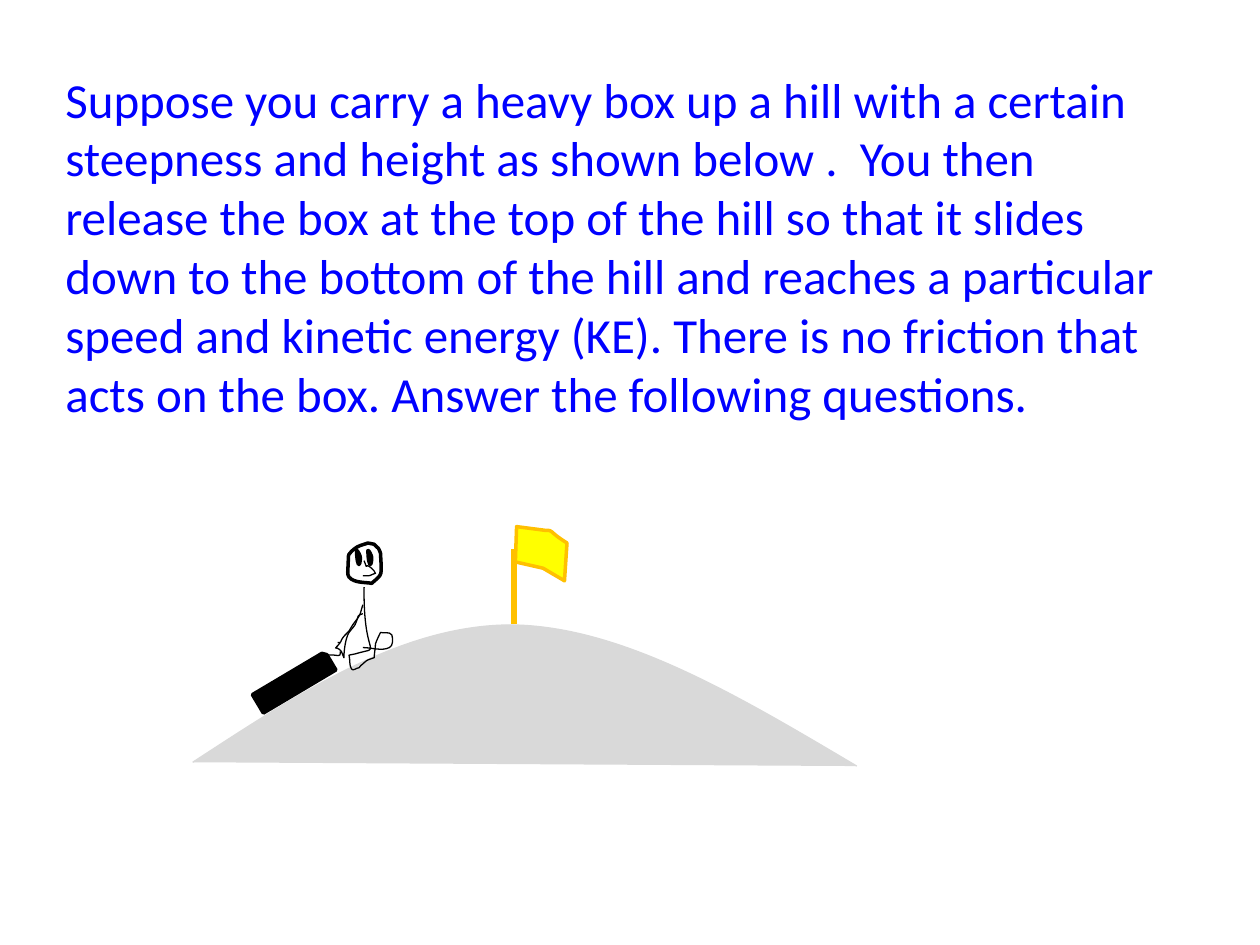
import dataclasses
import typing

import lxml.etree
import pptx
import pptx.dml.color
import pptx.enum.shapes
import pptx.enum.text
import pptx.oxml.ns
import pptx.util

RGBColor = pptx.dml.color.RGBColor
qn = pptx.oxml.ns.qn
BLUE = RGBColor(0x00, 0x00, 0xFF)
GREY = RGBColor(0xD9, 0xD9, 0xD9)
BLACK = RGBColor(0x00, 0x00, 0x00)
WHITE = RGBColor(0xFF, 0xFF, 0xFF)
YELLOW = RGBColor(0xFF, 0xFF, 0x00)
GOLD = RGBColor(0xFF, 0xC0, 0x00)
STEEL = RGBColor(0x4F, 0x81, 0xBD)

COLUMNS, ROWS = 1000, 750
CELL = pptx.util.Inches(10) // COLUMNS
THIN, BOLD, POLE = 0.75, 2, 3

QUESTION = (
    "Suppose you carry a heavy box up a hill with a certain steepness and height "
    "as shown below .  You then release the box at the top of the hill so that it "
    "slides down to the bottom of the hill and reaches a particular speed and "
    "kinetic energy (KE). There is no friction that acts on the box. Answer the "
    "following questions."
)
QUESTION_FONT = {"name": "Calibri", "size": pptx.util.Pt(28)}

Point = tuple[float, float]
Segment = tuple[float, ...]


@dataclasses.dataclass(frozen=True)
class Outline:
    start: Point
    segments: list[Segment]
    line: RGBColor = BLACK
    width: float = THIN
    fill: typing.Optional[RGBColor] = None
    closed: bool = False


def eye(left: float) -> Outline:
    return Outline(
        (left, 437),
        [
            (left, 438, left, 445, left + 1.5, 448),
            (left + 2.5, 449, left + 3, 445, left + 3, 443),
            (left + 3.5, 442, left + 0.5, 436, left, 437),
        ],
        width=BOLD, fill=STEEL, closed=True,
    )


HILL = Outline(
    (153, 605),
    [(236, 551, 318, 496, 406, 496), (494, 497, 587, 553, 680, 608)],
    line=GREY, fill=GREY,
)
FLAG = Outline(
    (409, 446),
    [
        (431, 451),
        (448, 461),
        (450, 431),
        (434, 421, 440, 421, 433, 421),
        (410, 418),
        (409, 446),
    ],
    line=GOLD, width=BOLD, fill=YELLOW, closed=True,
)
HEAD = Outline(
    (277, 440),
    [
        (279, 437, 283, 434, 286, 433),
        (288, 432, 290, 432, 292, 431),
        (294, 432, 297, 431, 298, 433),
        (300, 434, 301, 436, 302, 439),
        (303, 458, 304, 455, 295, 463),
        (291, 462, 281, 463, 277, 458),
        (276, 457, 276, 455, 276, 454),
        (277, 436, 276, 444, 277, 440),
    ],
    width=BOLD, fill=WHITE, closed=True,
)
BODY_AND_LEGS = Outline(
    (289, 466),
    [
        (288, 526, 305, 512, 282, 519),
        (280, 519, 279, 520, 277, 520),
        (278, 524, 277, 528, 279, 531),
        (280, 533, 283, 530, 285, 530),
        (286, 529, 287, 527, 288, 527),
        (292, 523, 292, 524, 297, 522),
        (297, 518, 298, 515, 298, 511),
        (299, 508, 302, 502, 302, 502),
        (305, 503, 309, 501, 311, 504),
        (312, 507, 312, 513, 309, 514),
        (303, 517, 295, 514, 288, 514),
    ],
)
UPPER_ARM = Outline(
    (288, 480),
    [
        (287, 482, 287, 485, 286, 487),
        (285, 490, 282, 493, 280, 496),
        (279, 498, 279, 499, 277, 501),
        (276, 502, 274, 504, 273, 505),
        (269, 510, 272, 510, 268, 510),
    ],
)
LOWER_ARM = Outline(
    (270, 510),
    [
        (264, 518, 266, 511, 271, 517),
        (272, 519, 272, 520, 273, 522),
        (273, 517, 274, 507, 277, 502),
        (279, 499, 282, 497, 283, 493),
        (285, 488, 283, 489, 288, 487),
    ],
)
GRIP = Outline((258, 520), [(270, 519, 270, 523, 270, 517)])
NOSE_AND_MOUTH = Outline(
    (289, 445),
    [
        (293, 455, 288, 445, 295, 451),
        (297, 452, 297, 454, 298, 455),
        (292, 457, 296, 457, 288, 457),
    ],
)
FIGURE = [HEAD, BODY_AND_LEGS, UPPER_ARM, LOWER_ARM, GRIP, NOSE_AND_MOUTH, eye(283), eye(292)]


def cells(*values: float) -> list[int]:
    return [round(v * CELL) for v in values]


def paint(s, fill: typing.Optional[RGBColor], line: RGBColor, width: float) -> None:
    s.shadow.inherit = False
    if fill is None:
        s.fill.background()
    else:
        s.fill.solid()
        s.fill.fore_color.rgb = fill
    s.line.color.rgb = line
    s.line.width = pptx.util.Pt(width)


def bend(s, segments: list[Segment]) -> None:
    legs = iter(list(s._element.iter(qn("a:lnTo"))))
    for seg in segments:
        first, *others = [next(legs) for _ in range(len(seg) // 2)]
        if not others:
            continue
        curve = lxml.etree.Element(qn("a:cubicBezTo"))
        first.addprevious(curve)
        for leg in [first, *others]:
            curve.append(leg[0])
            leg.getparent().remove(leg)


def draw_outline(shapes, outline: Outline) -> None:
    points = [
        tuple(cells(x, y))
        for seg in outline.segments
        for x, y in zip(seg[::2], seg[1::2])
    ]
    builder = shapes.build_freeform(*cells(*outline.start))
    builder.add_line_segments(points, close=outline.closed)
    s = builder.convert_to_shape()
    bend(s, outline.segments)
    paint(s, outline.fill, outline.line, outline.width)


def draw_box(shapes) -> None:
    s = shapes.add_shape(
        pptx.enum.shapes.MSO_SHAPE.SNIP_1_RECTANGLE, *cells(200, 533, 67, 17)
    )
    s.rotation = 329.3
    paint(s, BLACK, BLACK, BOLD)


def draw_pole(shapes) -> None:
    s = shapes.add_connector(
        pptx.enum.shapes.MSO_CONNECTOR.STRAIGHT, *cells(408, 495, 408, 436)
    )
    s.line.color.rgb = GOLD
    s.line.width = pptx.util.Pt(POLE)
    lxml.etree.SubElement(s._element.spPr, qn("a:effectLst"))


def draw_question(shapes) -> None:
    tf = shapes.add_textbox(*cells(42, 50, 908, 293)).text_frame
    tf.word_wrap = True
    tf.auto_size = pptx.enum.text.MSO_AUTO_SIZE.SHAPE_TO_FIT_TEXT
    r = tf.paragraphs[0].add_run()
    r.text = QUESTION
    for name, value in QUESTION_FONT.items():
        setattr(r.font, name, value)
    r.font.color.rgb = BLUE


def main() -> None:
    prs = pptx.Presentation()
    prs.slide_width, prs.slide_height = cells(COLUMNS, ROWS)
    shapes = prs.slides.add_slide(prs.slide_layouts[6]).shapes
    draw_question(shapes)
    draw_outline(shapes, HILL)
    draw_box(shapes)
    draw_pole(shapes)
    for outline in [FLAG, *FIGURE]:
        draw_outline(shapes, outline)
    prs.save("out.pptx")


if __name__ == "__main__":
    main()
